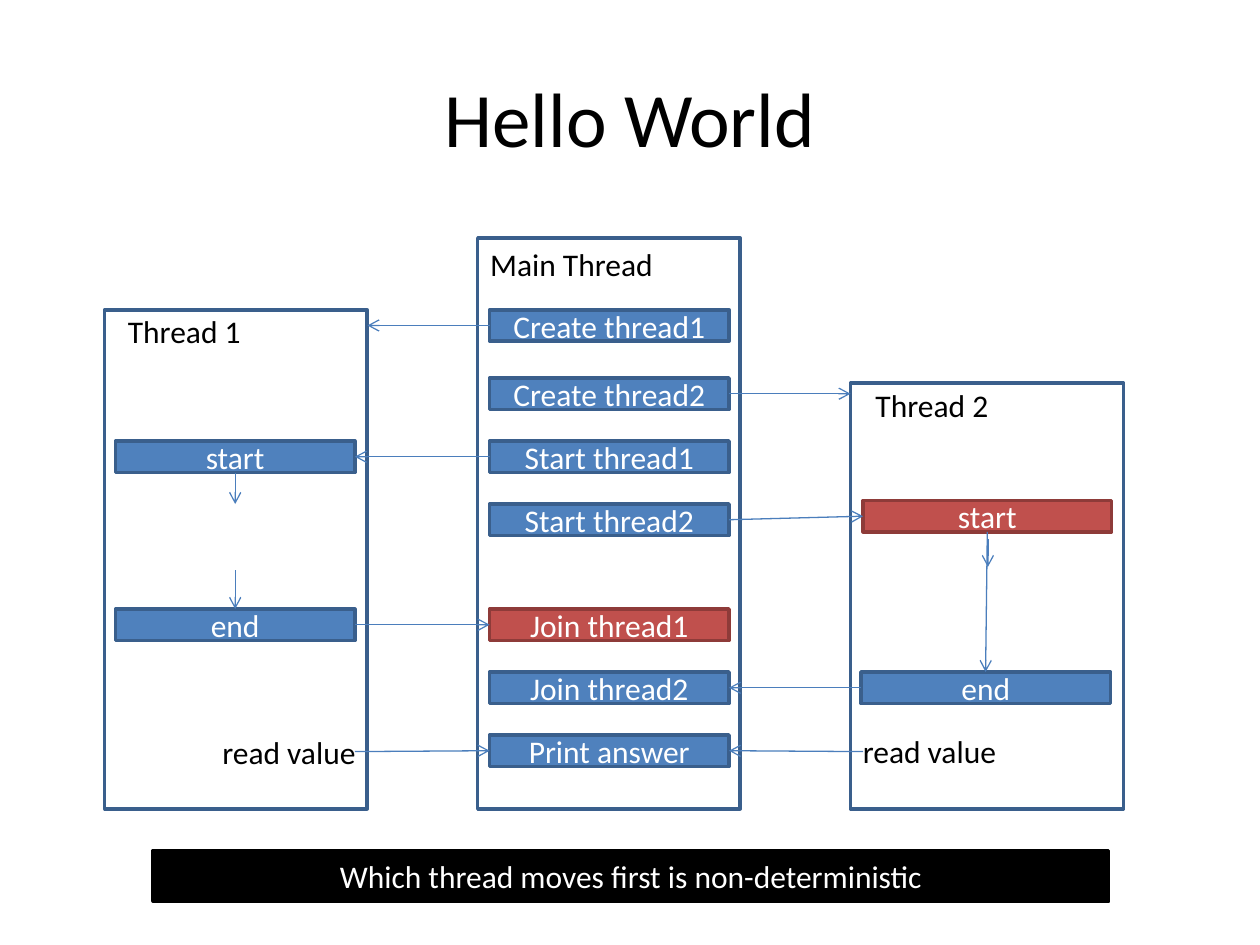
from dataclasses import dataclass
from lxml.etree import SubElement
from pptx import Presentation
from pptx.dml.color import RGBColor
from pptx.enum.shapes import MSO_CONNECTOR, MSO_SHAPE
from pptx.enum.text import MSO_ANCHOR, PP_ALIGN
from pptx.oxml.ns import qn
from pptx.util import Pt

BLUE, BLUE_EDGE = "4F81BD", "3A5F8C"
RED, RED_EDGE = "C0504D", "8E3B39"
ARROW, BLACK, WHITE = "4B7EBC", "000000", "FFFFFF"
STEP_HEIGHT = 18


@dataclass
class Box:
    left: float
    top: float
    width: float
    height: float = STEP_HEIGHT
    text: str = ""
    fill: str | None = BLUE
    edge: str = BLUE_EDGE


@dataclass
class Label:
    text: str
    left: float
    top: float
    width: float
    height: float = 29
    size: float = 18
    align: PP_ALIGN = PP_ALIGN.LEFT
    wrap: bool = False


@dataclass
class Arrow:
    start_x: float
    start_y: float
    end_x: float
    end_y: float


def color(value: str) -> RGBColor:
    return RGBColor.from_string(value)


def write(frame, text: str, size: float, ink: str, align: PP_ALIGN) -> None:
    paragraph = frame.paragraphs[0]
    paragraph.text = text
    paragraph.alignment = align
    paragraph.font.name = "Calibri"
    paragraph.font.size = Pt(size)
    paragraph.font.color.rgb = color(ink)


def draw_box(slide, box: Box) -> None:
    shape = slide.shapes.add_shape(
        MSO_SHAPE.RECTANGLE, Pt(box.left), Pt(box.top), Pt(box.width), Pt(box.height)
    )
    shape.shadow.inherit = False
    if box.fill:
        shape.fill.solid()
        shape.fill.fore_color.rgb = color(box.fill)
    else:
        shape.fill.background()
    shape.line.color.rgb = color(box.edge)
    shape.line.width = Pt(2)
    if box.text:
        shape.text_frame.word_wrap = True
        shape.text_frame.vertical_anchor = MSO_ANCHOR.MIDDLE
        write(shape.text_frame, box.text, 18, WHITE, PP_ALIGN.CENTER)


def draw_label(slide, label: Label) -> None:
    shape = slide.shapes.add_textbox(
        Pt(label.left), Pt(label.top), Pt(label.width), Pt(label.height)
    )
    shape.text_frame.word_wrap = label.wrap
    shape.text_frame.vertical_anchor = MSO_ANCHOR.MIDDLE
    write(shape.text_frame, label.text, label.size, BLACK, label.align)


def draw_arrow(slide, arrow: Arrow) -> None:
    connector = slide.shapes.add_connector(
        MSO_CONNECTOR.STRAIGHT,
        Pt(arrow.start_x), Pt(arrow.start_y), Pt(arrow.end_x), Pt(arrow.end_y),
    )
    connector.line.color.rgb = color(ARROW)
    connector.line.width = Pt(0.75)
    SubElement(connector.line._get_or_add_ln(), qn("a:tailEnd"), type="arrow")
    SubElement(connector._element.spPr, qn("a:effectLst"))


FRAMES = [
    Box(59.8, 177, 150, 285.2, fill=None),
    Box(273, 136, 150, 326.2, fill=None),
    Box(486, 219, 156, 243.2, fill=None),
]

MAIN_STEPS = [
    ("Create thread1", 177, BLUE, BLUE_EDGE),
    ("Create thread2", 216, BLUE, BLUE_EDGE),
    ("Start thread1", 252, BLUE, BLUE_EDGE),
    ("Start thread2", 288, BLUE, BLUE_EDGE),
    ("Join thread1", 348, RED, RED_EDGE),
    ("Join thread2", 384, BLUE, BLUE_EDGE),
    ("Print answer", 420, BLUE, BLUE_EDGE),
]
MAIN_LEFT, STEP_WIDTH = 279.8, 136.8
MAIN_RIGHT = MAIN_LEFT + STEP_WIDTH

THREAD_STEPS = [
    Box(66, 252, STEP_WIDTH, text="start"),
    Box(66, 348, STEP_WIDTH, text="end"),
    Box(493.2, 286, 142, text="start", fill=RED, edge=RED_EDGE),
    Box(492, 384, 142.6, text="end"),
]

LABELS = [
    Label("Hello World", 36, 21.6, 648, 90, 44, PP_ALIGN.CENTER, True),
    Label("Thread 1", 66, 174.4, 80),
    Label("Main Thread", 273, 136, 109),
    Label("Thread 2", 493.2, 216.8, 80),
    Label("read value", 120, 415, 91.4),
    Label("read value", 486, 414.6, 91.4),
]

ARROWS = [
    Arrow(MAIN_LEFT, 186, 210, 186),
    Arrow(MAIN_RIGHT, 225, 486, 225),
    Arrow(MAIN_LEFT, 261, 202.8, 261),
    Arrow(MAIN_RIGHT, 297, 493.2, 295),
    Arrow(202.8, 357, MAIN_LEFT, 357),
    Arrow(492, 393, MAIN_RIGHT, 393),
    Arrow(202.8, 429.5, MAIN_LEFT, 429),
    Arrow(493.2, 429.5, MAIN_RIGHT, 429),
    Arrow(134.4, 270, 134.4, 288),
    Arrow(134.4, 326, 134.4, 348),
    Arrow(564.2, 304, 563.2, 384),
    Arrow(564.5, 308, 564.5, 324),
]

NOTE = Box(87.6, 486, 546, 29, "Which thread moves first is non-deterministic", BLACK, BLACK)


def main() -> None:
    presentation = Presentation()
    presentation.slide_width, presentation.slide_height = Pt(720), Pt(540)
    slide = presentation.slides.add_slide(presentation.slide_layouts[6])
    main_boxes = [
        Box(MAIN_LEFT, top, STEP_WIDTH, text=text, fill=fill, edge=edge)
        for text, top, fill, edge in MAIN_STEPS
    ]
    for box in [*FRAMES, *main_boxes, *THREAD_STEPS, NOTE]:
        draw_box(slide, box)
    for label in LABELS:
        draw_label(slide, label)
    for arrow in ARROWS:
        draw_arrow(slide, arrow)
    presentation.save("out.pptx")


if __name__ == "__main__":
    main()
